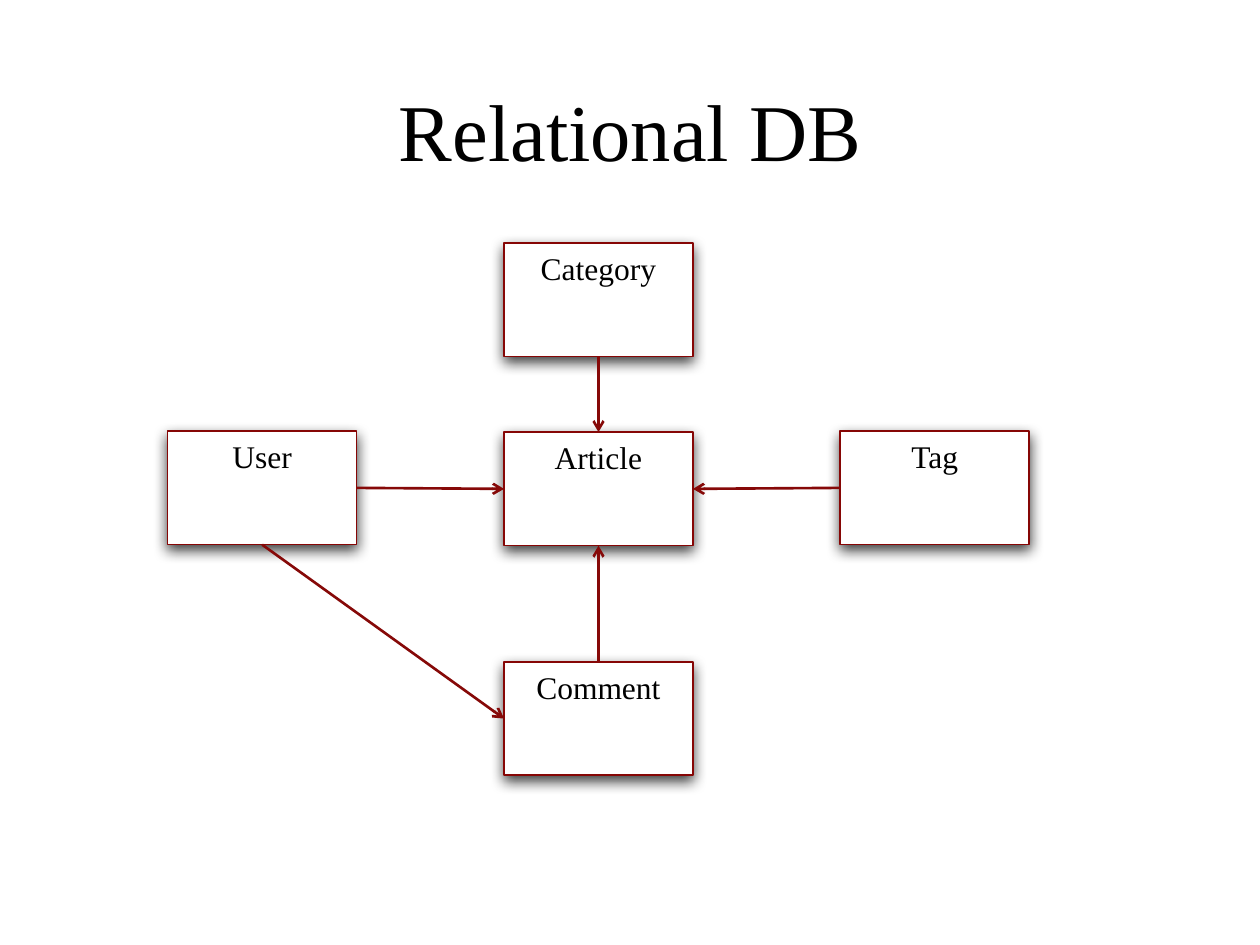
from dataclasses import dataclass

from lxml.etree import SubElement
from pptx import Presentation
from pptx.dml.color import RGBColor
from pptx.enum.shapes import MSO_CONNECTOR, MSO_SHAPE
from pptx.enum.text import MSO_ANCHOR, PP_ALIGN
from pptx.oxml.ns import qn
from pptx.util import Cm, Pt


@dataclass(frozen=True)
class Theme:
    font: str = "Times New Roman"
    ink: RGBColor = RGBColor(0x00, 0x00, 0x00)
    paper: RGBColor = RGBColor(0xFF, 0xFF, 0xFF)
    border: RGBColor = RGBColor(0x86, 0x06, 0x05)
    arrow: RGBColor = RGBColor(0x86, 0x09, 0x08)
    title_size: Pt = Pt(46)
    entity_size: Pt = Pt(18)
    border_width: Pt = Pt(1)
    arrow_width: Pt = Pt(1.5)
    shadow_blur: Pt = Pt(8)
    shadow_distance: Pt = Pt(3)


THEME = Theme()
TOP, LEFT, BOTTOM, RIGHT = range(4)
ENTITY_WIDTH, ENTITY_HEIGHT = Cm(3.81), Cm(2.29)
ENTITIES = {
    "Category": (Cm(10.16), Cm(4.9)),
    "Article": (Cm(10.16), Cm(8.71)),
    "Comment": (Cm(10.16), Cm(13.34)),
    "User": (Cm(3.38), Cm(8.69)),
    "Tag": (Cm(16.94), Cm(8.69)),
}
RELATIONS = [
    ("User", RIGHT, "Article", LEFT),
    ("Category", BOTTOM, "Article", TOP),
    ("Tag", LEFT, "Article", RIGHT),
    ("Comment", TOP, "Article", BOTTOM),
    ("User", BOTTOM, "Comment", LEFT),
]


def apply_format(target, values):
    for name, value in values.items():
        setattr(target, name, value)


def write_text(box, text, size, anchor):
    frame = box.text_frame
    apply_format(frame, {"word_wrap": True, "vertical_anchor": anchor})
    para = frame.paragraphs[0]
    para.alignment = PP_ALIGN.CENTER
    span = para.add_run()
    span.text = text
    apply_format(span.font, {"name": THEME.font, "size": size})
    span.font.color.rgb = THEME.ink


def add_shadow(box):
    box.shadow.inherit = False
    effects = box.element.spPr.find(qn("a:effectLst"))
    shadow = SubElement(
        effects,
        qn("a:outerShdw"),
        blurRad=str(THEME.shadow_blur),
        dist=str(THEME.shadow_distance),
        dir="5400000",
        rotWithShape="0",
    )
    color = SubElement(shadow, qn("a:srgbClr"), val=str(THEME.ink))
    SubElement(color, qn("a:alpha"), val="75000")


def add_title(page, text):
    box = page.shapes.add_textbox(Cm(2.54), Cm(1.4), Cm(20.32), Cm(2.41))
    write_text(box, text, THEME.title_size, MSO_ANCHOR.MIDDLE)


def add_entity(page, name, left, top):
    box = page.shapes.add_shape(
        MSO_SHAPE.RECTANGLE, left, top, ENTITY_WIDTH, ENTITY_HEIGHT
    )
    box.fill.solid()
    box.fill.fore_color.rgb = THEME.paper
    box.line.color.rgb = THEME.border
    box.line.width = THEME.border_width
    add_shadow(box)
    write_text(box, name, THEME.entity_size, MSO_ANCHOR.TOP)
    return box


def add_relation(page, source, source_side, target, target_side):
    arrow = page.shapes.add_connector(MSO_CONNECTOR.STRAIGHT, 0, 0, 0, 0)
    arrow.begin_connect(source, source_side)
    arrow.end_connect(target, target_side)
    arrow.line.color.rgb = THEME.arrow
    arrow.line.width = THEME.arrow_width
    properties = arrow.element.spPr
    SubElement(properties.find(qn("a:ln")), qn("a:tailEnd"), type="arrow")
    SubElement(properties, qn("a:effectLst"))


def main():
    deck = Presentation()
    apply_format(deck, {"slide_width": Cm(25.4), "slide_height": Cm(19.05)})
    page = deck.slides.add_slide(deck.slide_layouts[6])
    add_title(page, "Relational DB")
    boxes = {
        name: add_entity(page, name, left, top)
        for name, (left, top) in ENTITIES.items()
    }
    for source, source_side, target, target_side in RELATIONS:
        add_relation(page, boxes[source], source_side, boxes[target], target_side)
    deck.save("out.pptx")


if __name__ == "__main__":
    main()
